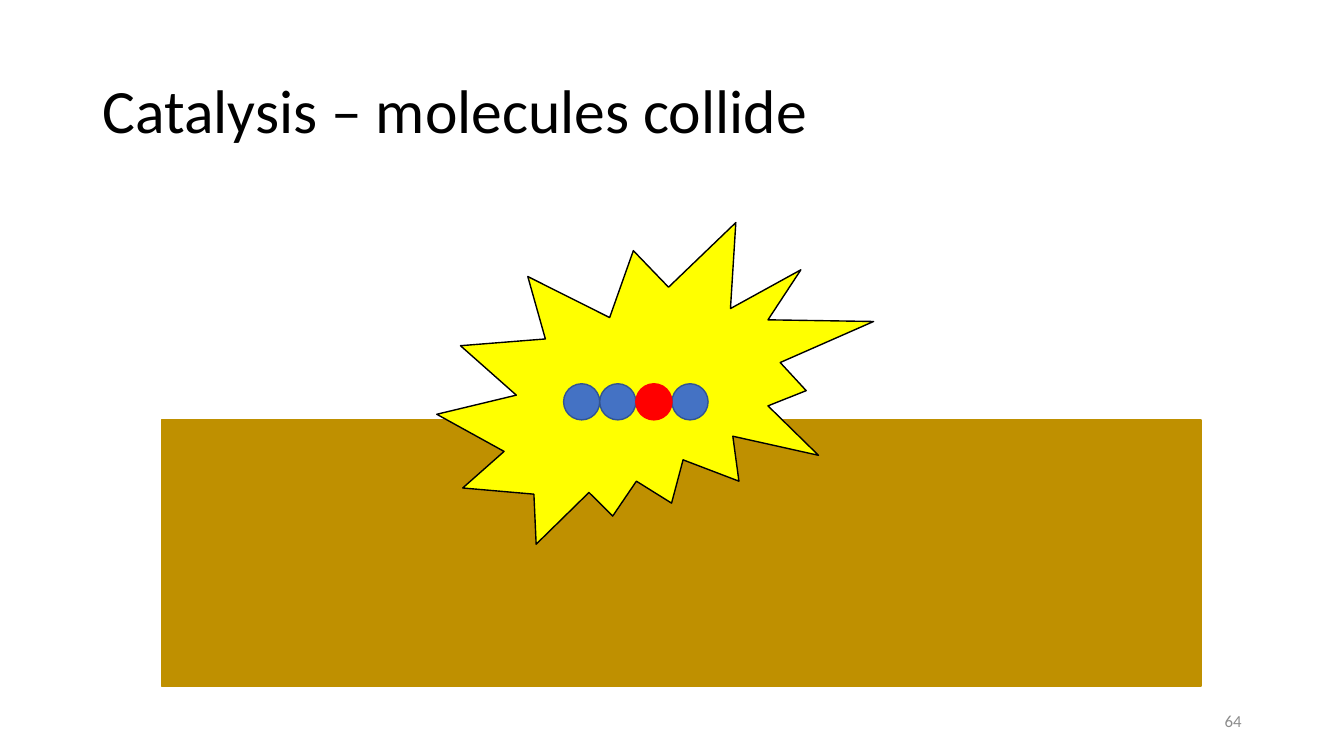
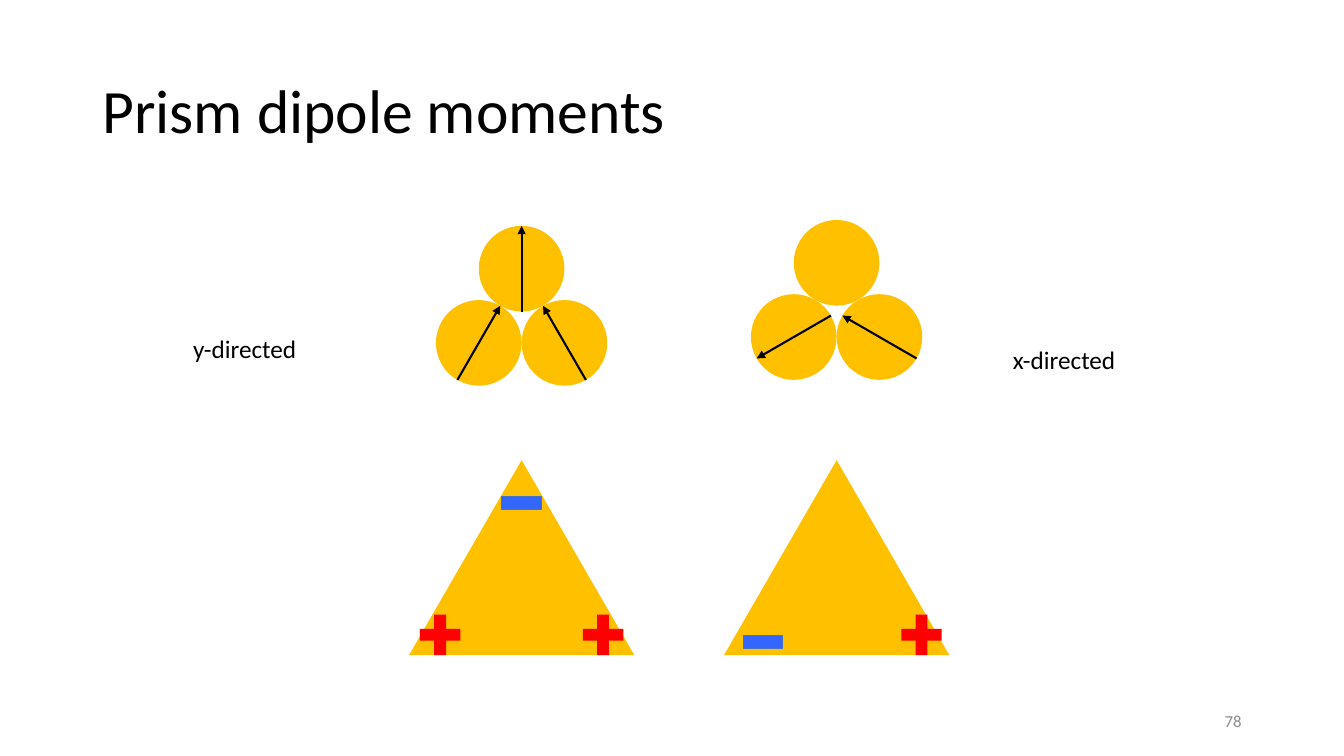
import math

import pptx
import pptx.dml.color
import pptx.enum.shapes
import pptx.enum.text
import pptx.oxml
import pptx.oxml.ns
import pptx.util

RGBColor = pptx.dml.color.RGBColor
Shape = pptx.enum.shapes.MSO_SHAPE
Anchor = pptx.enum.text.MSO_ANCHOR
Align = pptx.enum.text.PP_ALIGN

BLACK = RGBColor(0x00, 0x00, 0x00)
GREY = RGBColor(0x8C, 0x8C, 0x8C)
BROWN = RGBColor(0xBF, 0x90, 0x00)
GOLD = RGBColor(0xFF, 0xC0, 0x00)
YELLOW = RGBColor(0xFF, 0xFF, 0x00)
RED = RGBColor(0xFF, 0x00, 0x00)
BLUE = RGBColor(0x44, 0x72, 0xC4)
DARK_BLUE = RGBColor(0x32, 0x54, 0x91)
BRIGHT_BLUE = RGBColor(0x33, 0x66, 0xFF)

COLUMNS = 16
SPHERE = 1.02


class Slides:
    font = "Calibri"

    def __init__(self):
        self.deck = pptx.Presentation()
        self.deck.slide_width = pptx.util.Inches(13.33)
        self.deck.slide_height = pptx.util.Inches(7.5)
        self.page = None

    def grid(self, *cells):
        return [round(cell * self.deck.slide_width / COLUMNS) for cell in cells]

    def set_text(self, box, text, size, color, align=Align.LEFT, wrap=True):
        frame = box.text_frame
        frame.word_wrap = wrap
        frame.vertical_anchor = Anchor.MIDDLE
        para = frame.paragraphs[0]
        para.text = text
        para.alignment = align
        para.font.name = self.font
        para.font.size = pptx.util.Pt(size)
        para.font.color.rgb = color
        return para

    def start(self, title, number):
        self.page = self.deck.slides.add_slide(self.deck.slide_layouts[5])
        heading = self.page.shapes.title
        heading.left, heading.top, heading.width, heading.height = self.grid(1.1, 0.48, 13.8, 1.74)
        self.set_text(heading, title, 44, BLACK).line_spacing = 0.9
        self.label(str(number), 11.3, 8.34, 3.6, 12, GREY, Align.RIGHT)

    def label(self, text, left, top, width, size=18, color=BLACK, align=Align.LEFT, wrap=True):
        box = self.page.shapes.add_textbox(*self.grid(left, top, width, 0.48))
        self.set_text(box, text, size, color, align, wrap)

    def shape(self, kind, left, top, width, height, fill, line=None, weight=1):
        shape = self.page.shapes.add_shape(kind, *self.grid(left, top, width, height))
        shape.shadow.inherit = False
        shape.fill.solid()
        shape.fill.fore_color.rgb = fill
        if line is None:
            shape.line.fill.background()
        else:
            shape.line.color.rgb = line
            shape.line.width = pptx.util.Pt(weight)
        return shape

    def centered(self, kind, x, y, size, fill, line=None, weight=1):
        return self.shape(kind, x - size / 2, y - size / 2, size, size, fill, line, weight)

    def arrow(self, x, y, length, heading):
        angle = math.radians(heading)
        dx, dy = math.sin(angle) * length / 2, -math.cos(angle) * length / 2
        arrow = self.page.shapes.add_connector(
            pptx.enum.shapes.MSO_CONNECTOR.STRAIGHT, *self.grid(x - dx, y - dy, x + dx, y + dy))
        arrow.line.color.rgb = BLACK
        arrow.line.width = pptx.util.Pt(1.5)
        namespace = pptx.oxml.ns.nsdecls("a")
        properties = arrow._element.spPr
        outline = properties.find(pptx.oxml.ns.qn("a:ln"))
        outline.append(pptx.oxml.parse_xml(f'<a:tailEnd {namespace} type="triangle"/>'))
        properties.append(pptx.oxml.parse_xml(f"<a:effectLst {namespace}/>"))

    def prism(self, x, top, headings):
        y = top + SPHERE / 2
        low = y + SPHERE * math.sqrt(3) / 2
        centers = [(x, y), (x - SPHERE / 2, low), (x + SPHERE / 2, low)]
        for center in centers:
            self.centered(Shape.OVAL, *center, SPHERE, GOLD)
        for center, heading in zip(centers, headings):
            if heading is not None:
                self.arrow(*center, SPHERE, heading)
        self.shape(Shape.ISOSCELES_TRIANGLE, x - 1.34, 5.48, 2.68, 2.32, GOLD)

    def plus(self, x, y):
        self.centered(Shape.CROSS, x, y, 0.48, RED).adjustments[0] = 0.354

    def minus(self, x, y):
        self.centered(Shape.MATH_MINUS, x, y, 0.64, BRIGHT_BLUE, BLUE, 0.5)


def collision(slides):
    slides.start("Catalysis – molecules collide", 64)
    slides.shape(Shape.RECTANGLE, 1.92, 5, 12.38, 3.17, BROWN, BROWN)
    slides.shape(Shape.EXPLOSION2, 5.2, 2.65, 5.2, 3.83, YELLOW, BLACK)
    atom = 0.43
    for place, fill, line in [(0, BLUE, DARK_BLUE), (1, BLUE, DARK_BLUE),
                              (3, BLUE, DARK_BLUE), (2, RED, RED)]:
        slides.shape(Shape.OVAL, 6.71 + place * atom, 4.57, atom, atom, fill, line)


def dipoles(slides):
    slides.start("Prism dipole moments", 78)
    left, right = 6.21, 9.96
    slides.prism(left, 2.69, [0, 30, -30])
    slides.prism(right, 2.62, [None, 240, 300])
    slides.minus(left, 5.99)
    for x in (left - 0.97, left + 0.97, right + 1.01):
        slides.plus(x, 7.56)
    slides.minus(right - 0.88, 7.64)
    slides.label("y-directed", 2.18, 3.91, 1.49, wrap=False)
    slides.label("x-directed", 11.94, 4.04, 1.48, wrap=False)


def main():
    slides = Slides()
    collision(slides)
    dipoles(slides)
    slides.deck.save("out.pptx")


if __name__ == "__main__":
    main()
